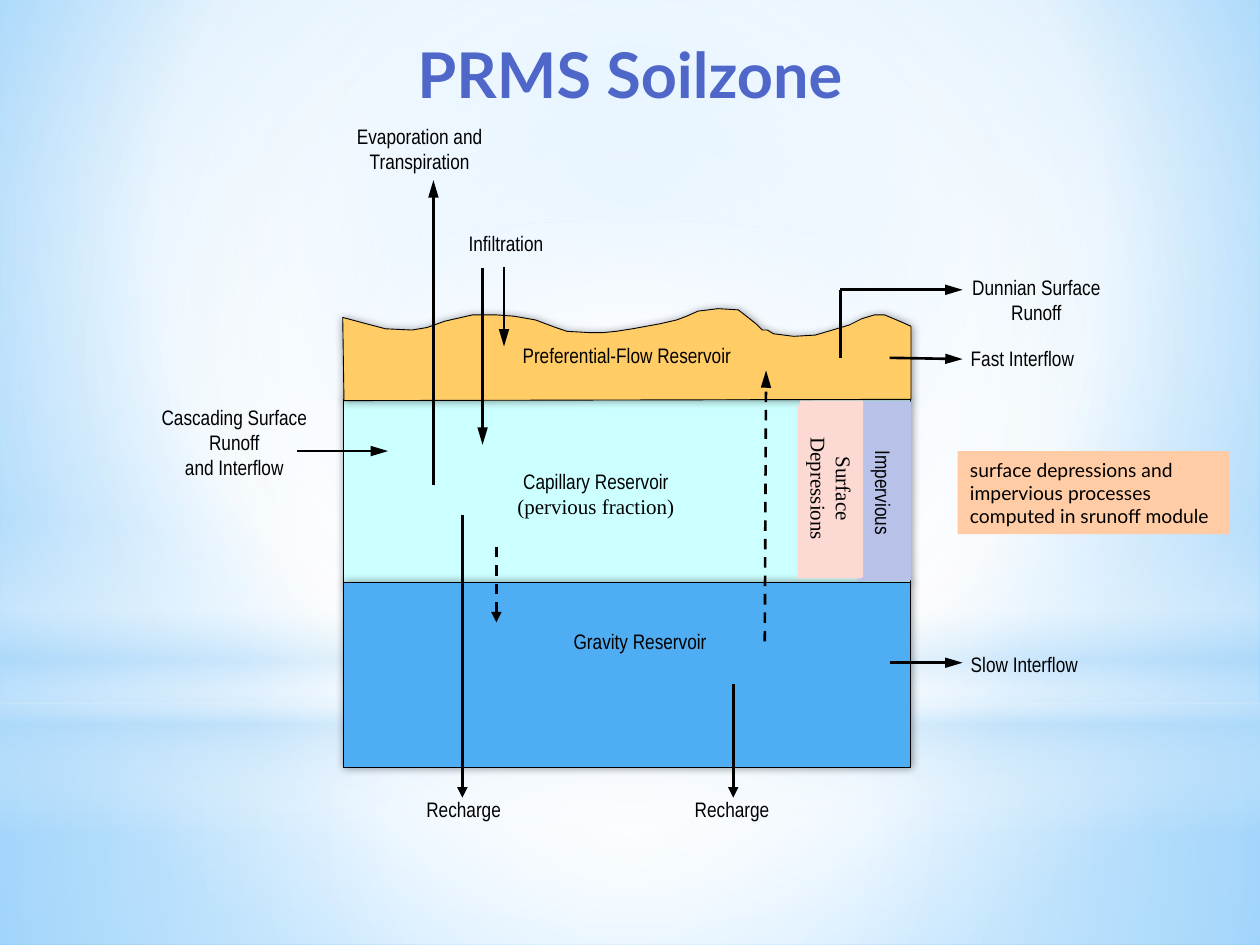
from typing import NamedTuple, Optional

from lxml.etree import SubElement
from pptx import Presentation
from pptx.dml.color import RGBColor
from pptx.enum.dml import MSO_LINE
from pptx.enum.shapes import MSO_CONNECTOR, MSO_SHAPE as Preset
from pptx.enum.text import MSO_ANCHOR as Anchor, MSO_AUTO_SIZE as AutoSize, PP_ALIGN as Align
from pptx.oxml.ns import qn
from pptx.util import Inches, Pt

# The slide is a grid of 100 columns by 75 rows of square cells.
COLS, ROWS = 100, 75
CELL = Inches(0.1)
COLORS = {
    "black": "000000", "white": "FFFFFF", "title": "4E67C8", "haze": "B4DCFA",
    "sky": "9ED5FF", "deep sky": "5BB9FF", "soil": "FFCC66", "capillary": "CCFFFF",
    "gravity": "4FADF3", "impervious": "B8C2E9", "depression": "FCD9D3", "note": "FFCCA6",
}
NARROW, SERIF, SANS = "Arial Narrow", "Times New Roman", "Lato"


class Box(NamedTuple):
    col: float
    row: float
    cols: float
    rows: float


class Stop(NamedTuple):
    position: int
    color: str
    opacity: int = 100


class Glow(NamedTuple):
    box: Box
    stops: list
    focus: Optional[tuple] = (50, 50, 50, 50)  # None gives a vertical gradient
    preset: Preset = Preset.RECTANGLE


class Label(NamedTuple):
    text: str
    box: Box
    wrap: bool = True
    rotation: int = 0


class Arrow(NamedTuple):
    start: tuple
    end: tuple
    head: Optional[str] = "lg"  # length of the head
    dashed: bool = False


GLOWS = [
    Glow(Box(0, 55.8, COLS, 19.2),
         [Stop(0, "white", 91), Stop(37, "white", 76), Stop(100, "haze", 79)]),
    Glow(Box(0, 0, COLS, 55.8),
         [Stop(0, "white", 89), Stop(48, "white", 62), Stop(100, "haze", 79)]),
    Glow(Box(0, 41.2, COLS, 25),
         [Stop(0, "white", 0), Stop(29, "white", 30), Stop(45, "haze", 40),
          Stop(55, "white", 26), Stop(65, "haze", 60), Stop(100, "white", 0)], None),
    Glow(Box(0, 17.5, COLS, 55.8), [Stop(0, "white"), Stop(56, "white", 0)],
         preset=Preset.OVAL),
]
SOIL_OUTLINE = [
    (27.2, 25.2), (27.3, 31.8), (72.3, 31.7), (72.3, 25.9), (71.4, 25.5), (70.2, 25),
    (69.4, 25), (68.4, 25.3), (67.4, 25.8), (66.4, 26.1), (64.7, 26.6), (63, 26.7),
    (61.4, 26.5), (60.9, 26.2), (60.5, 26.2), (60, 25.7), (58.6, 24.6), (57, 24.5),
    (55.4, 24.7), (54.5, 25.1), (53.7, 25.4), (52.4, 25.7), (50.2, 26.1), (48.9, 26.3),
    (47.9, 26.4), (46.7, 26.4), (45, 26.3), (44.1, 26), (42.5, 25.4), (40.8, 25.1),
    (39.4, 25), (37.5, 25), (35.3, 25.5), (33.9, 26), (32.7, 26.2), (30.6, 26.1),
    (28.7, 25.6),
]
LABELS = [
    Label("Cascading Surface Runoff\nand Interflow", Box(11.3, 31.6, 14.6, 6.8)),
    Label("Slow Interflow", Box(76, 51.2, 10.6, 3), False),
    Label("Fast Interflow", Box(76, 26.9, 10.3, 3), False),
    Label("Dunnian Surface Runoff", Box(76, 21.3, 12.5, 5)),
    Label("Gravity Reservoir", Box(42.7, 49.4, 16.2, 3)),
    Label("Infiltration", Box(34.4, 17.8, 11.5, 3)),
    Label("Recharge", Box(54.1, 62.7, 8, 3), False),
    Label("Recharge", Box(32.8, 62.7, 8, 3), False),
    Label("Evaporation and\nTranspiration", Box(26.4, 9.3, 13.8, 4.9)),
    Label("Impervious", Box(65.7, 37.6, 8.8, 3), False, 90),
]
ARROWS = [
    Arrow((70.6, 52.6), (76.4, 52.6)),              # slow interflow
    Arrow((70.6, 28.4), (76.4, 28.5)),              # fast interflow
    Arrow((66.7, 28.4), (66.7, 23), None),          # Dunnian runoff, rising
    Arrow((66.7, 23), (76.4, 23)),                  # Dunnian runoff, leaving
    Arrow((60.7, 50.9), (60.8, 29.4), dashed=True),  # gravity to preferential flow
    Arrow((39.4, 43.4), (39.4, 49.4), "med", True),  # capillary to gravity
    Arrow((38.3, 21.3), (38.3, 35.3)),              # infiltration, deep
    Arrow((40, 21.2), (40, 27.5)),                  # infiltration, shallow
    Arrow((58.2, 54.3), (58.2, 63.3), "med"),       # gravity recharge
    Arrow((36.7, 40.9), (36.7, 63.3), "med"),       # capillary recharge
    Arrow((34.4, 38.5), (34.4, 14.3)),              # evapotranspiration
    Arrow((23.6, 35.8), (30.8, 35.8)),              # cascading inflow
]


def rgb(name: str) -> RGBColor:
    return RGBColor.from_string(COLORS[name])


def emu(*cells: float) -> list:
    return [round(c * CELL) for c in cells]


def add_color(parent, name: str, opacity: int) -> None:
    color = SubElement(parent, qn("a:srgbClr"), val=COLORS[name])
    if opacity < 100:
        SubElement(color, qn("a:alpha"), val=str(opacity * 1000))


def paint_gradient(fill, root, stops: list, focus: Optional[tuple]) -> None:
    """Fill with stops, radiating from the focus insets (percent) or running down."""
    fill.gradient()
    grad = root.find(".//" + qn("a:gradFill"))
    for child in list(grad):
        grad.remove(child)
    stop_list = SubElement(grad, qn("a:gsLst"))
    for stop in stops:
        gs = SubElement(stop_list, qn("a:gs"), pos=str(stop.position * 1000))
        add_color(gs, stop.color, stop.opacity)
    if focus:
        path = SubElement(grad, qn("a:path"), path="circle")
        SubElement(path, qn("a:fillToRect"),
                   {side: str(inset * 1000) for side, inset in zip("ltrb", focus)})
    else:
        SubElement(grad, qn("a:lin"), ang="5400000", scaled="0")


def style_block(sp, color: str) -> None:
    sp.shadow.inherit = False
    sp.fill.solid()
    sp.fill.fore_color.rgb = rgb(color)
    sp.line.fill.background()


def style_reservoir(sp, color: str) -> None:
    """Fill, thin black outline and a soft shadow all round."""
    style_block(sp, color)
    sp.line.color.rgb = rgb("black")
    sp.line.width = Pt(0.5)
    effects = sp.element.spPr.find(qn("a:effectLst"))
    shadow = SubElement(effects, qn("a:outerShdw"), blurRad=str(Pt(5)), dist="0",
                        dir="0", algn="ctr", rotWithShape="0")
    add_color(shadow, "black", 40)


def add_block(s, box: Box, color: str, style=style_block):
    sp = s.shapes.add_shape(Preset.RECTANGLE, *emu(*box))
    style(sp, color)
    return sp


def write(sp, text: str, font: str = NARROW, size: float = 12, color: str = "black",
          align=Align.CENTER, bold: bool = False) -> None:
    sp.text_frame.text = text
    for p in sp.text_frame.paragraphs:
        p.alignment = align
        for r in p.runs:
            r.font.name, r.font.size, r.font.bold = font, Pt(size), bold
            r.font.color.rgb = rgb(color)


def add_label(s, label: Label):
    sp = s.shapes.add_textbox(*emu(*label.box))
    write(sp, label.text)
    sp.text_frame.word_wrap = label.wrap
    sp.text_frame.auto_size = AutoSize.SHAPE_TO_FIT_TEXT
    sp.rotation = label.rotation
    return sp


def add_arrow(s, arrow: Arrow) -> None:
    line = s.shapes.add_connector(MSO_CONNECTOR.STRAIGHT, *emu(*arrow.start, *arrow.end))
    line.line.color.rgb = rgb("black")
    line.line.width = Pt(1.5)
    if arrow.dashed:
        line.line.dash_style = MSO_LINE.DASH
    if arrow.head:
        SubElement(line.line._get_or_add_ln(), qn("a:tailEnd"), type="triangle",
                   w="med", len=arrow.head)
    SubElement(line.element.spPr, qn("a:effectLst"))


def main() -> None:
    prs = Presentation()
    prs.slide_width, prs.slide_height = emu(COLS, ROWS)
    s = prs.slides.add_slide(prs.slide_layouts[5])

    paint_gradient(s.background.fill, s.element,
                   [Stop(0, "sky"), Stop(60, "white"), Stop(100, "deep sky")], (20, 10, 20, 60))
    for glow in GLOWS:
        sp = s.shapes.add_shape(glow.preset, *emu(*glow.box))
        sp.shadow.inherit = False
        sp.line.fill.background()
        paint_gradient(sp.fill, sp.element, glow.stops, glow.focus)

    title = s.shapes.title
    title.left, title.top, title.width, title.height = emu(0, 0, COLS, 11.7)
    write(title, "PRMS Soilzone", SANS, 36, "title", bold=True)
    title.text_frame.vertical_anchor = Anchor.MIDDLE
    s.shapes.element.append(title.element)  # in front of the glows

    add_block(s, Box(27.3, 31.7, 45, 14.5), "capillary", style_reservoir)
    add_block(s, Box(27.3, 46.2, 45, 14.7), "gravity", style_reservoir)
    first, *rest = [emu(*point) for point in SOIL_OUTLINE]
    builder = s.shapes.build_freeform(*first)
    builder.add_line_segments(rest, close=True)
    soil = builder.convert_to_shape()
    style_reservoir(soil, "soil")
    write(soil, "Preferential-Flow Reservoir")
    soil.text_frame.vertical_anchor = Anchor.MIDDLE

    impervious = add_block(s, Box(68.1, 31.9, 4.1, 14.1), "impervious")
    impervious.line.color.rgb = rgb("impervious")
    impervious.line.width = Pt(1.25)
    add_block(s, Box(63.3, 32.2, 5.1, 13.7), "depression")
    depressions = add_block(s, Box(59, 36.3, 14, 5), "depression")
    depressions.rotation = 90
    write(depressions, "Surface Depressions", SERIF)
    depressions.text_frame.word_wrap = True

    for label in LABELS:
        add_label(s, label)
    capillary = add_label(s, Label("Capillary Reservoir\v(pervious fraction)",
                                   Box(40, 36.7, 14.6, 5), False))
    capillary.text_frame.paragraphs[0].runs[-1].font.name = SERIF
    for arrow in ARROWS:
        add_arrow(s, arrow)

    note = add_block(s, Box(76, 35.8, 21.6, 6.6), "note")
    write(note, "surface depressions and\nimpervious processes\ncomputed in srunoff module",
          SANS, 11, align=Align.LEFT)
    note.text_frame.word_wrap = False
    prs.save("out.pptx")


if __name__ == "__main__":
    main()
